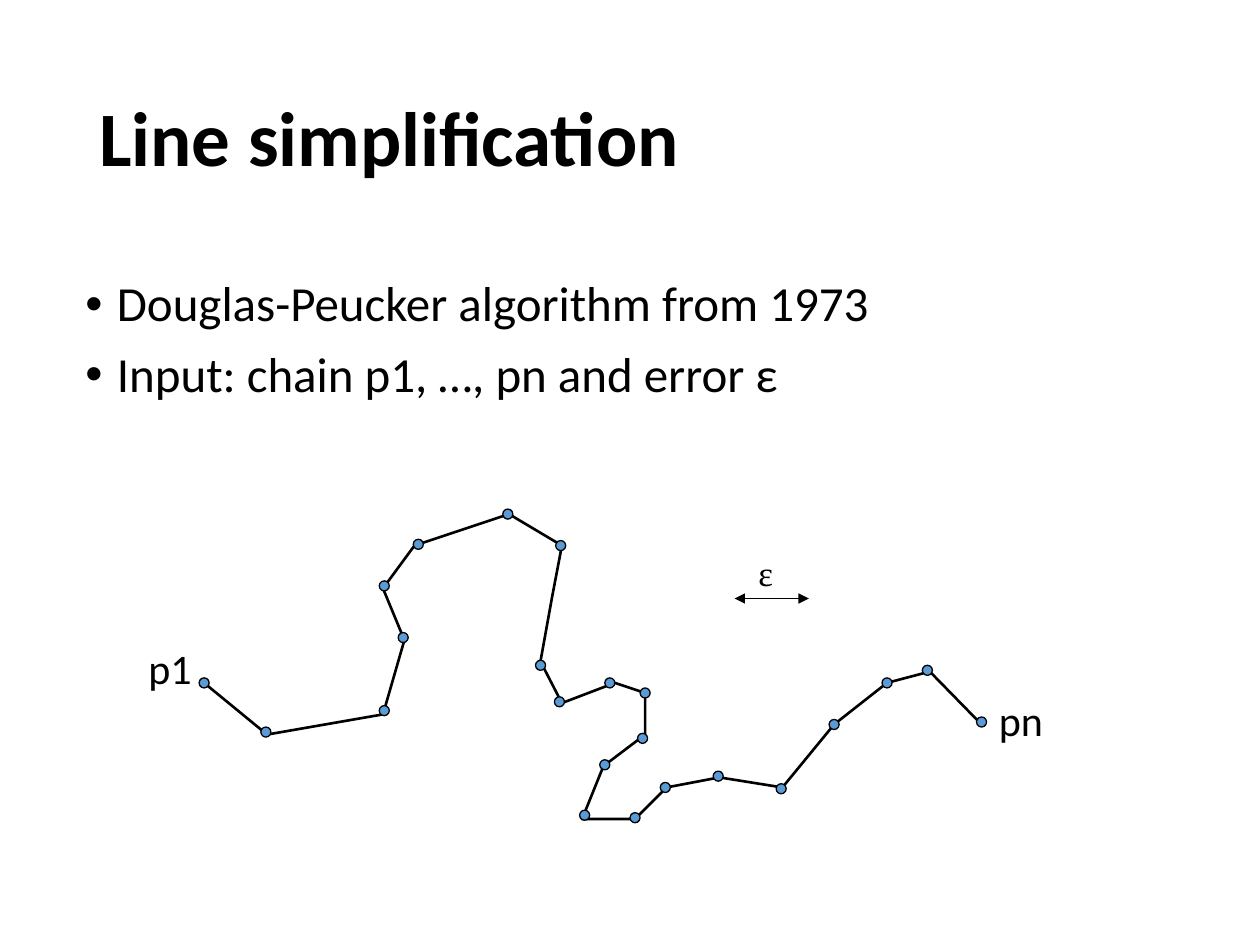
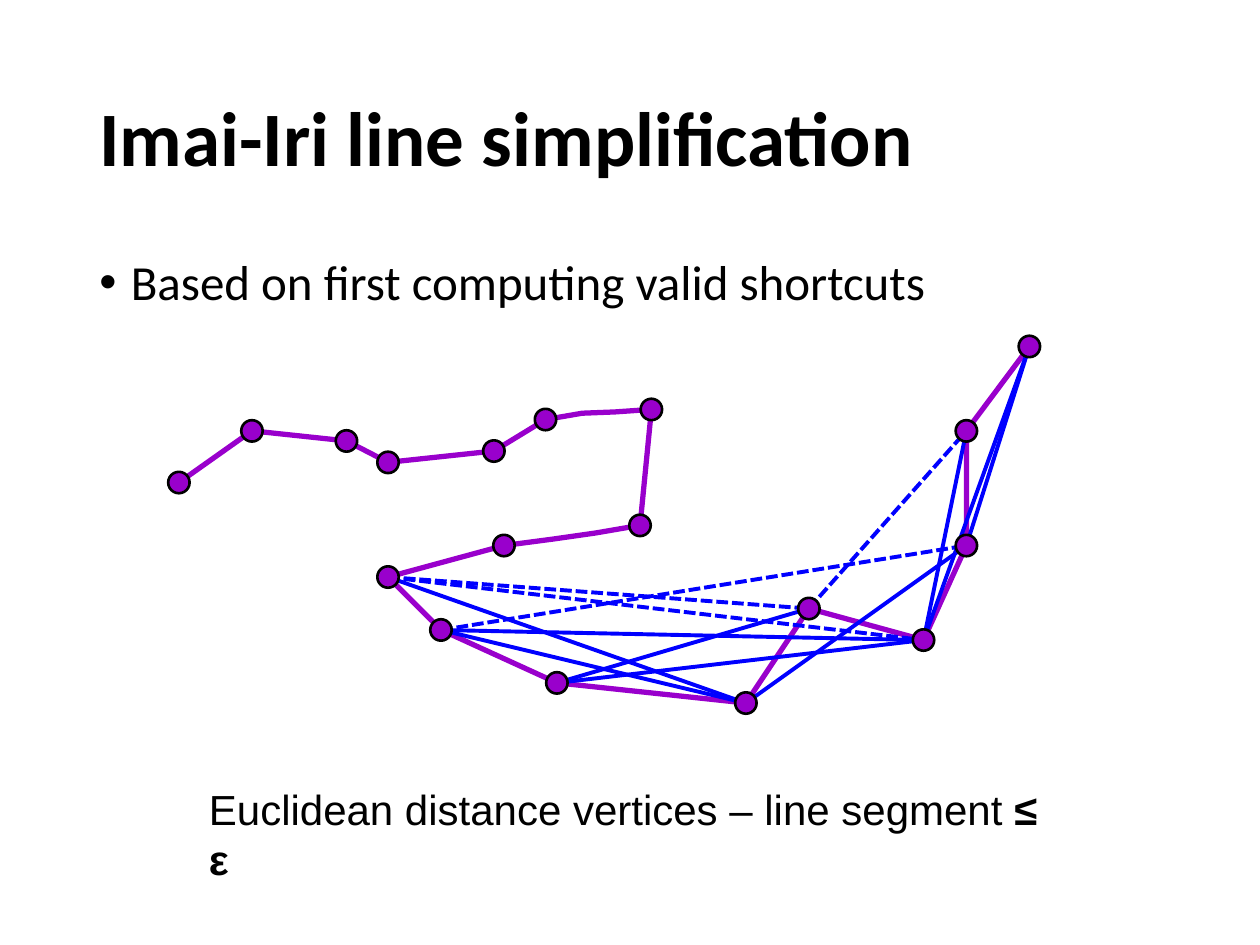
from dataclasses import dataclass

from lxml import etree
from pptx import Presentation
from pptx.dml.color import RGBColor
from pptx.enum.dml import MSO_LINE
from pptx.enum.shapes import MSO_CONNECTOR, MSO_SHAPE
from pptx.enum.text import MSO_ANCHOR
from pptx.oxml.ns import qn
from pptx.util import Inches, Pt

OVAL = MSO_SHAPE.OVAL
STRAIGHT = MSO_CONNECTOR.STRAIGHT
DOTTED = MSO_LINE.SQUARE_DOT
MIDDLE = MSO_ANCHOR.MIDDLE


@dataclass(frozen=True)
class Theme:
    black: RGBColor = RGBColor(0, 0, 0)
    vertex: RGBColor = RGBColor(0x5B, 0x9B, 0xD5)
    purple: RGBColor = RGBColor(0x99, 0x00, 0xCC)
    shortcut: RGBColor = RGBColor(0, 0, 0xFF)
    font: str = "Calibri"
    caption_font: str = "Arial"
    symbol_font: str = "Times New Roman"
    title: int = 44
    body: int = 28
    label: int = 24
    symbol: int = 20


T = Theme()
TITLE_BOX = (0.69, 0.4, 8.62, 1.45)


def add_text(s, box, paragraphs, size, font=T.font, wrap=True, spacing=None, bullet=False):
    """Add a text box; each paragraph is a list of (text, bold) runs."""
    tf = s.shapes.add_textbox(*map(Inches, box)).text_frame
    tf.word_wrap = wrap
    for i, runs in enumerate(paragraphs):
        p = tf.paragraphs[0] if i == 0 else tf.add_paragraph()
        p.line_spacing = spacing
        if bullet:
            p.space_before = Pt(10)
            pPr = p._p.get_or_add_pPr()
            pPr.set("marL", str(Inches(0.25)))
            pPr.set("indent", str(Inches(-0.25)))
            etree.SubElement(pPr, qn("a:buFont")).set("typeface", "Arial")
            etree.SubElement(pPr, qn("a:buChar")).set("char", "•")
        for text, bold in runs:
            r = p.add_run()
            r.text = text
            r.font.name, r.font.size, r.font.bold = font, Pt(size), bold
            r.font.color.rgb = T.black
    return tf


def add_line(s, start, end, color, width, dash=None, arrows=False):
    c = s.shapes.add_connector(STRAIGHT, *map(Inches, (*start, *end)))
    c.line.color.rgb = color
    c.line.width = Pt(width)
    if dash:
        c.line.dash_style = dash
    if arrows:
        for end_tag in ("a:headEnd", "a:tailEnd"):
            etree.SubElement(c.line._get_or_add_ln(), qn(end_tag)).set("type", "triangle")
    etree.SubElement(c._element.spPr, qn("a:effectLst"))


# Chain to simplify: the outline and the centres of its vertex dots
dp_path = [
    (1.62, 5.42), (2.12, 5.83), (3.04, 5.67), (3.21, 5.08), (3.04, 4.67), (3.29, 4.33),
    (4.04, 4.08), (4.46, 4.33), (4.38, 4.75), (4.29, 5.25), (4.46, 5.58), (4.88, 5.42),
    (5.12, 5.5), (5.12, 5.83), (4.79, 6.08), (4.62, 6.5), (5.04, 6.5), (5.29, 6.25),
    (5.71, 6.17), (6.21, 6.25), (6.62, 5.75), (7.04, 5.42), (7.38, 5.33), (7.79, 5.75),
]
dp_dots = [
    (1.62, 5.42), (2.11, 5.81), (3.05, 5.64), (3.2, 5.06), (3.05, 4.65), (3.32, 4.32),
    (4.03, 4.08), (4.45, 4.33), (4.29, 5.28), (4.44, 5.57), (4.84, 5.42), (5.12, 5.5),
    (5.1, 5.86), (4.8, 6.07), (4.64, 6.47), (5.04, 6.49), (5.28, 6.25), (5.7, 6.16),
    (6.2, 6.26), (6.62, 5.75), (7.04, 5.42), (7.36, 5.32), (7.79, 5.73),
]

# Chain with shortcuts: two edges bend slightly between their vertices
v = [
    (1.42, 3.83), (2, 3.42), (2.75, 3.5), (3.08, 3.67), (3.92, 3.58), (4.33, 3.33),
    (5.17, 3.25), (5.08, 4.17), (4, 4.33), (3.08, 4.58), (3.5, 5), (4.42, 5.42),
    (5.92, 5.58), (6.42, 4.83), (7.33, 5.08), (7.67, 4.33), (7.67, 3.42), (8.17, 2.75),
]
bend_top = [(4.62, 3.28), (4.88, 3.27)]
bend_middle = [(4.73, 4.23), (4.38, 4.28)]
imai_path = v[:6] + bend_top + v[6:8] + bend_middle + v[8:]
shortcuts = [  # vertex indices and dash
    (9, 14, DOTTED), (10, 14, None), (13, 16, DOTTED), (10, 15, DOTTED), (9, 13, DOTTED),
    (9, 12, None), (11, 14, None), (11, 13, None), (10, 12, None), (15, 17, None),
    (14, 17, None), (14, 16, None), (12, 15, None),
]

slides = [
    dict(title="Line simplification", body_box=(0.58, 2.17, 8.83, 1.43),
         bullets=["Douglas-Peucker algorithm from 1973",
                  "Input: chain p1, …, pn and error ε"],
         path=dp_path, color=T.black, width=1.5, shortcuts=[],
         dots=dp_dots, dot=0.08, dot_fill=T.vertex, dot_line=0.75),
    dict(title="Imai-Iri line simplification", body_box=(0.69, 2, 8.62, 4.76),
         bullets=["Based on first computing valid shortcuts"],
         path=imai_path, color=T.purple, width=3, shortcuts=shortcuts,
         dots=v, dot=0.17, dot_fill=T.purple, dot_line=1.5),
]

prs = Presentation()
prs.slide_width, prs.slide_height = Inches(10), Inches(7.5)

for d in slides:
    s = prs.slides.add_slide(prs.slide_layouts[6])
    tf = add_text(s, TITLE_BOX, [[(d["title"], True)]], T.title, spacing=0.9)
    tf.vertical_anchor = MIDDLE
    add_text(s, d["body_box"], [[(b, False)] for b in d["bullets"]], T.body,
             spacing=0.9, bullet=True)

    points = [(Inches(x), Inches(y)) for x, y in d["path"]]
    fb = s.shapes.build_freeform(*points[0])
    fb.add_line_segments(points[1:], close=False)
    chain = fb.convert_to_shape()
    chain.shadow.inherit = False
    chain.fill.background()
    chain.line.color.rgb = d["color"]
    chain.line.width = Pt(d["width"])

    for i, j, dash in d["shortcuts"]:
        add_line(s, v[i], v[j], T.shortcut, 2.25, dash)

    size = d["dot"]
    for x, y in d["dots"]:
        dot = s.shapes.add_shape(OVAL, Inches(x - size / 2), Inches(y - size / 2),
                                 Inches(size), Inches(size))
        dot.shadow.inherit = False
        dot.fill.solid()
        dot.fill.fore_color.rgb = d["dot_fill"]
        dot.line.color.rgb = T.black
        dot.line.width = Pt(d["dot_line"])

dp_slide, imai_slide = prs.slides

# Chain ends and the error width
for text, box, size, font in [
    ("p1", (1.08, 5.05, 0.55, 0.5), T.label, T.font),
    ("pn", (7.83, 5.46, 0.56, 0.5), T.label, T.font),
    ("ε", (5.92, 4.33, 0.32, 0.43), T.symbol, T.symbol_font),
]:
    add_text(dp_slide, box, [[(text, False)]], size, font, wrap=False)
add_line(dp_slide, (5.83, 4.75), (6.42, 4.75), T.black, 0.75, arrows=True)

caption = [("Euclidean distance vertices – line segment ", False), ("≤ ε", True)]
add_text(imai_slide, (1.56, 6.17, 7.02, 0.5), [caption], T.label, T.caption_font)

prs.save("out.pptx")
